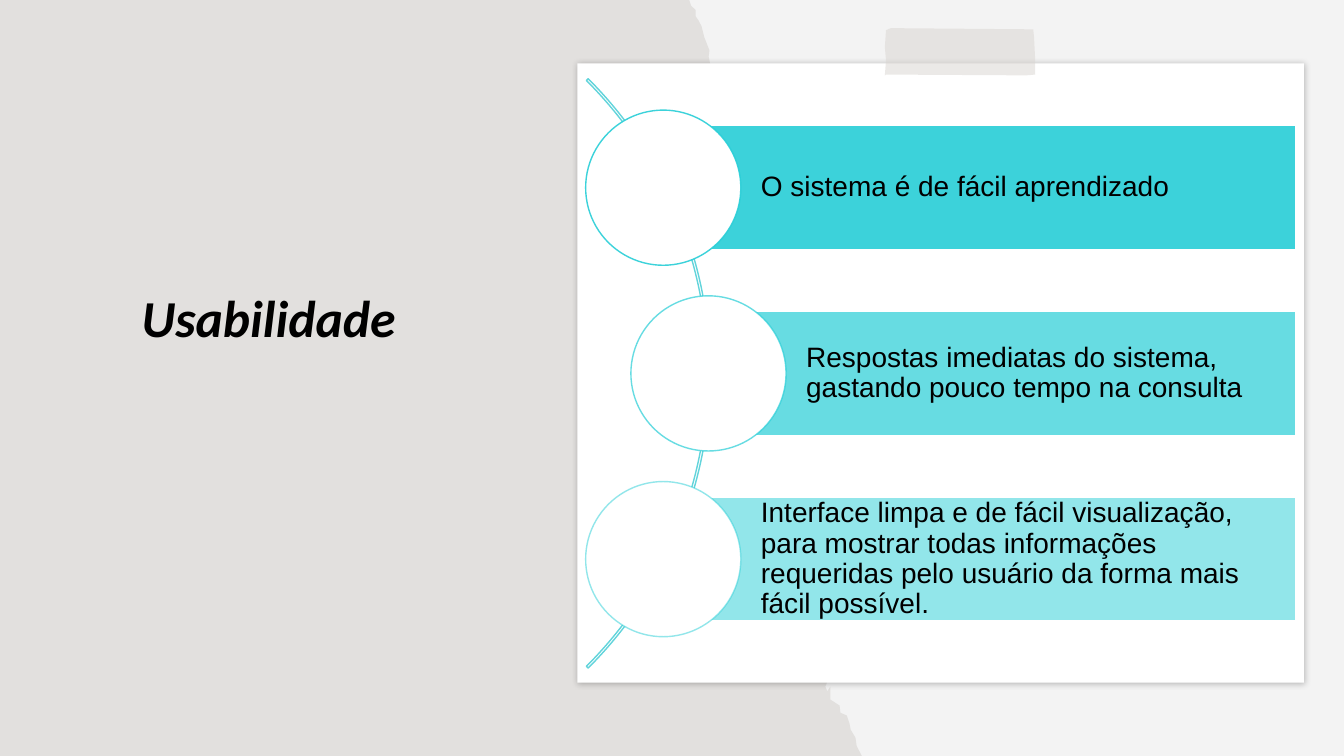
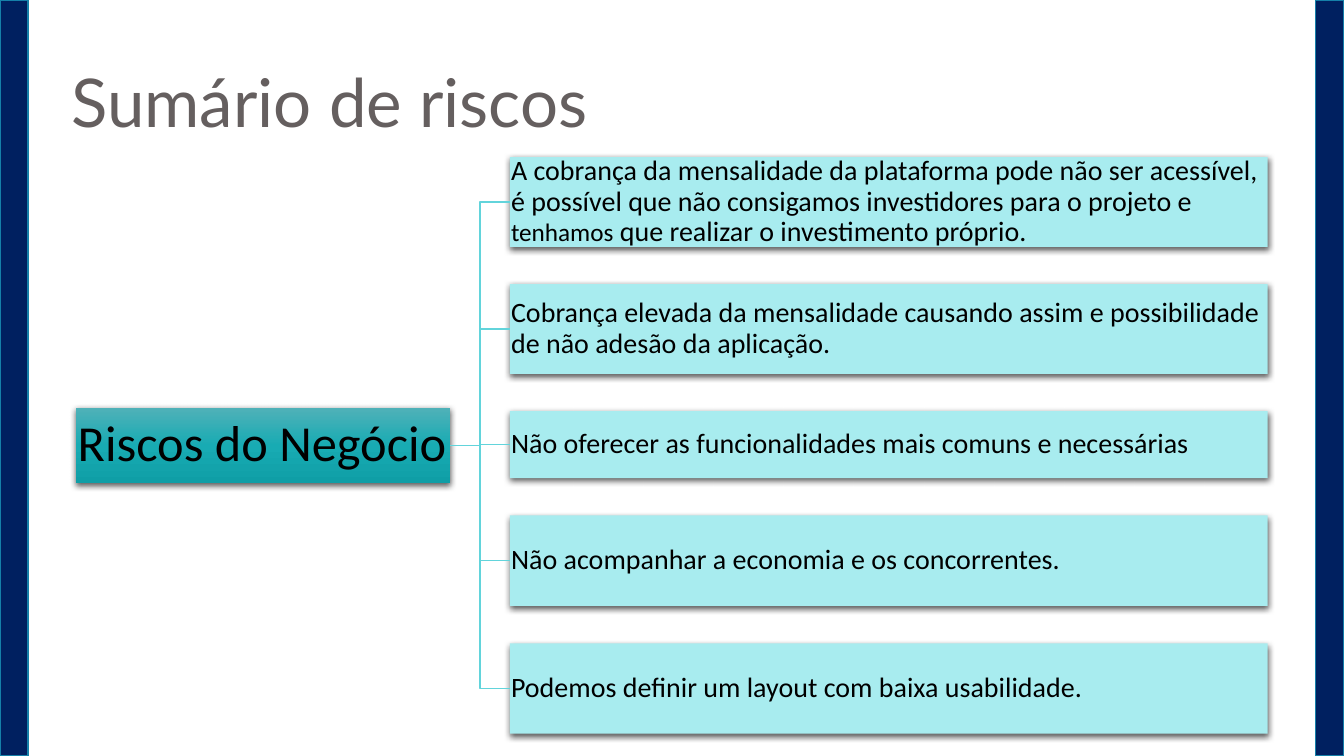
"""Build two slides: a usability overview and a business risk summary."""
import copy
from dataclasses import dataclass

import lxml.etree
import pptx
import pptx.dml.color
import pptx.enum.shapes
import pptx.enum.text
import pptx.oxml.ns
import pptx.util

Cm = pptx.util.Cm
Pt = pptx.util.Pt
qn = pptx.oxml.ns.qn
SHAPES = pptx.enum.shapes.MSO_SHAPE
ANCHOR = pptx.enum.text.MSO_ANCHOR
ALIGN = pptx.enum.text.PP_ALIGN


@dataclass(frozen=True)
class Theme:
    """Colours, fonts and type sizes used on both slides."""
    black: str = "000000"
    white: str = "FFFFFF"
    paper: str = "F3F3F3"
    torn_paper: str = "82766A"
    tape: str = "D9D4D0"
    turquoise: str = "27CED7"
    link: str = "62D4DB"
    risk: str = "A8ECEF"
    root: tuple = ("4FB1B8", "18ABB3", "0F9EA6")
    heading: str = "655F5F"
    band: str = "002060"
    band_edge: str = "1580A9"
    body_font: str = "Calibri"
    panel_font: str = "Arial"
    title_font: str = "Lato"
    title_size: int = 48
    name_size: int = 37
    root_size: int = 36
    body_size: int = 20
    small_size: int = 18
    line_width: int = 1
    line_spacing: float = 0.9
    card_shadow: tuple = (24, 4, 1, 50)
    box_shadow: tuple = (63, 4.5, 1.5, 90)


THEME = Theme()
SLIDE_WIDTH, SLIDE_HEIGHT = 33.87, 19.05

USABILITY_TITLE = "Usabilidade"
USABILITY_POINTS = [
    ("O sistema é de fácil aprendizado", 14.76, 90),
    ("Respostas imediatas do sistema, gastando pouco tempo na consulta", 15.9, 70),
    ("Interface limpa e de fácil visualização, para mostrar todas informações "
     "requeridas pelo usuário da forma mais fácil possível.", 14.76, 50),
]
TORN_PAPER = [
    (0, 0), (17.37, 0), (17.42, 0.15), (17.53, 0.25), (17.53, 0.41), (17.6, 0.51),
    (17.68, 0.66), (17.75, 0.94), (17.88, 1.27), (17.86, 1.42), (17.91, 1.68),
    (17.86, 1.98), (18.06, 2.16), (17.86, 2.92), (18.08, 3.73), (18.44, 5.89),
    (18.52, 10.21), (19.15, 12.88), (20.02, 13.79), (20.62, 15.32), (20.96, 16.38),
    (20.93, 16.99), (20.8, 17.3), (20.85, 17.42), (20.93, 17.3), (20.93, 17.63),
    (21.16, 17.78), (21.18, 17.96), (21.34, 18.03), (21.41, 18.24), (21.44, 18.39),
    (21.56, 18.59), (21.59, 18.8), (21.72, SLIDE_HEIGHT), (0, SLIDE_HEIGHT),
]
TAPE = [
    (22.33, 0.76), (22.45, 0.71), (26.04, 0.74), (26.06, 0.94), (26.09, 1.55),
    (26.09, 1.88), (25.86, 1.9), (22.33, 1.88), (22.3, 1.9), (22.33, 1.52), (22.3, 1.19),
]

RISK_TITLE = "Sumário de riscos"
RISK_ROOT = "Riscos do Negócio"
RISKS = [
    ([("A cobrança da mensalidade da plataforma pode não ser acessível, é possível que "
       "não consigamos investidores para o projeto e ", THEME.body_size),
      ("tenhamos", THEME.small_size),
      (" que realizar o investimento próprio.", THEME.body_size)], 2.26),
    ("Cobrança elevada da mensalidade causando assim e possibilidade de não adesão "
     "da aplicação.", 2.26),
    ("Não oferecer as funcionalidades mais comuns e necessárias", 1.69),
    ("Não acompanhar a economia e os concorrentes.", 2.28),
    ("Podemos definir um layout com baixa usabilidade.", 2.28),
]


def rgb(colour):
    return pptx.dml.color.RGBColor.from_string(colour)


def set_alpha(fill_format, colour, alpha):
    fill_format.solid()
    fill_format.fore_color.rgb = rgb(colour)
    if alpha < 100:
        element = fill_format._xPr.find(".//" + qn("a:srgbClr"))
        lxml.etree.SubElement(element, qn("a:alpha"), val=str(alpha * 1000))


def add_shadow(shape, alpha, blur, distance, angle):
    effects = shape._element.spPr.find(qn("a:effectLst"))
    outer = lxml.etree.SubElement(
        effects, qn("a:outerShdw"), blurRad=str(Pt(blur)), dist=str(Pt(distance)),
        dir=str(angle * 60000), algn="ctr", rotWithShape="0")
    colour = lxml.etree.SubElement(outer, qn("a:srgbClr"), val=THEME.black)
    lxml.etree.SubElement(colour, qn("a:alpha"), val=str(alpha * 1000))


def style_shape(shape, fill=None, alpha=100, line=None, line_alpha=100, shadow=None):
    shape.shadow.inherit = False
    if fill:
        set_alpha(shape.fill, fill, alpha)
    else:
        shape.fill.background()
    if line:
        set_alpha(shape.line.fill, line, line_alpha)
        shape.line.width = Pt(THEME.line_width)
    else:
        shape.line.fill.background()
    if shadow:
        add_shadow(shape, *shadow)
    return shape


def add_shape(slide, kind, left, top, width, height, **style):
    shape = slide.shapes.add_shape(kind, Cm(left), Cm(top), Cm(width), Cm(height))
    return style_shape(shape, **style)


def add_outline(slide, points, **style):
    corners = [(Cm(x), Cm(y)) for x, y in points]
    builder = slide.shapes.build_freeform(*corners[0], scale=1.0)
    builder.add_line_segments(corners[1:], close=True)
    return style_shape(builder.convert_to_shape(), **style)


def write_text(shape, text, font, size, colour=THEME.black, insets=None,
               anchor=ANCHOR.MIDDLE, align=ALIGN.LEFT):
    frame = shape.text_frame
    frame.word_wrap = True
    frame.vertical_anchor = anchor
    if insets:
        (frame.margin_left, frame.margin_top,
         frame.margin_right, frame.margin_bottom) = map(Cm, insets)
    paragraph = frame.paragraphs[0]
    paragraph.alignment = align
    paragraph.line_spacing = THEME.line_spacing
    paragraph.font.name = font
    paragraph.font.size = Pt(size)
    paragraph.font.color.rgb = rgb(colour)
    if isinstance(text, str):
        paragraph.add_run().text = text
    else:
        for words, run_size in text:
            run = paragraph.add_run()
            run.text = words
            run.font.size = Pt(run_size)
    return paragraph


def add_text(slide, left, top, width, height, *content, **options):
    box = slide.shapes.add_textbox(Cm(left), Cm(top), Cm(width), Cm(height))
    return write_text(box, *content, **options)


def add_slide(presentation, background):
    slide = presentation.slides.add_slide(presentation.slide_layouts[6])
    slide.background.fill.solid()
    slide.background.fill.fore_color.rgb = rgb(background)
    return slide


def fill_gradient(shape, colours):
    shape.fill.gradient()
    shape.fill.gradient_angle = 270
    stops = shape._element.spPr.find(".//" + qn("a:gsLst"))
    stops.insert(1, copy.deepcopy(stops[0]))
    for index, (stop, colour) in enumerate(zip(shape.fill.gradient_stops, colours)):
        stop.position = index / (len(colours) - 1)
        stop.color.rgb = rgb(colour)


def link_boxes(slide, source, target):
    connector = slide.shapes.add_connector(
        pptx.enum.shapes.MSO_CONNECTOR.ELBOW, 0, 0, 0, 0)
    connector.begin_connect(source, 3)
    connector.end_connect(target, 1)
    connector.line.color.rgb = rgb(THEME.link)
    connector.line.width = Pt(THEME.line_width)
    lxml.etree.SubElement(connector._element.spPr, qn("a:effectLst"))


def build_usability(presentation):
    slide = add_slide(presentation, THEME.paper)
    add_outline(slide, TORN_PAPER, fill=THEME.torn_paper, alpha=15)
    name = add_text(slide, 1.78, 7.26, 9.98, 3.02, USABILITY_TITLE, THEME.body_font,
                    THEME.name_size, anchor=ANCHOR.TOP, align=ALIGN.CENTER)
    name.font.bold = name.font.italic = True
    add_shape(slide, SHAPES.RECTANGLE, 14.55, 1.6, 18.31, 15.6,
              fill=THEME.white, shadow=THEME.card_shadow)
    add_outline(slide, TAPE, fill=THEME.tape, alpha=50)

    arc = add_shape(slide, SHAPES.BLOCK_ARC, -3.1, -1.09, 21, 21, line=THEME.link)
    for index, value in enumerate((189, 27, 0.003)):
        arc.adjustments[index] = value

    diameter, bar_height, bar_right = 3.91, 3.12, 32.66
    first_centre, pitch = 4.73, 4.68
    for index, (text, circle_left, alpha) in enumerate(USABILITY_POINTS):
        centre = first_centre + index * pitch
        bar_left = circle_left + diameter / 2
        bar = add_shape(slide, SHAPES.RECTANGLE, bar_left, centre - bar_height / 2,
                        bar_right - bar_left, bar_height,
                        fill=THEME.turquoise, alpha=alpha, line=THEME.white)
        write_text(bar, text, THEME.panel_font, THEME.body_size,
                   insets=(2.46, 0.15, 0.15, 0.15))
        add_shape(slide, SHAPES.OVAL, circle_left, centre - diameter / 2, diameter, diameter,
                  fill=THEME.white, line=THEME.turquoise, line_alpha=alpha)


def build_risks(presentation):
    slide = add_slide(presentation, THEME.white)
    root = add_shape(slide, SHAPES.RECTANGLE, 1.91, 10.28, 9.44, 1.9,
                     shadow=THEME.box_shadow)
    fill_gradient(root, THEME.root)
    write_text(root, RISK_ROOT, THEME.body_font, THEME.root_size,
               insets=(0.05, 0.08, 0, 0.08))

    top, gap = 3.96, 0.94
    for text, height in RISKS:
        box = add_shape(slide, SHAPES.RECTANGLE, 12.85, top, 19.1, height,
                        fill=THEME.risk, shadow=THEME.box_shadow)
        write_text(box, text, THEME.body_font, THEME.body_size, insets=(0.03,) * 4)
        link_boxes(slide, root, box)
        top += height + gap

    add_text(slide, 1.55, 1.04, 25.1, 2.67, RISK_TITLE, THEME.title_font,
             THEME.title_size, THEME.heading, anchor=ANCHOR.BOTTOM)
    band_width = 0.71
    for left in (0, SLIDE_WIDTH - band_width):
        add_shape(slide, SHAPES.RECTANGLE, left, 0, band_width, SLIDE_HEIGHT,
                  fill=THEME.band, line=THEME.band_edge)


def main():
    presentation = pptx.Presentation()
    presentation.slide_width = Cm(SLIDE_WIDTH)
    presentation.slide_height = Cm(SLIDE_HEIGHT)
    build_usability(presentation)
    build_risks(presentation)
    presentation.save("out.pptx")


main()
